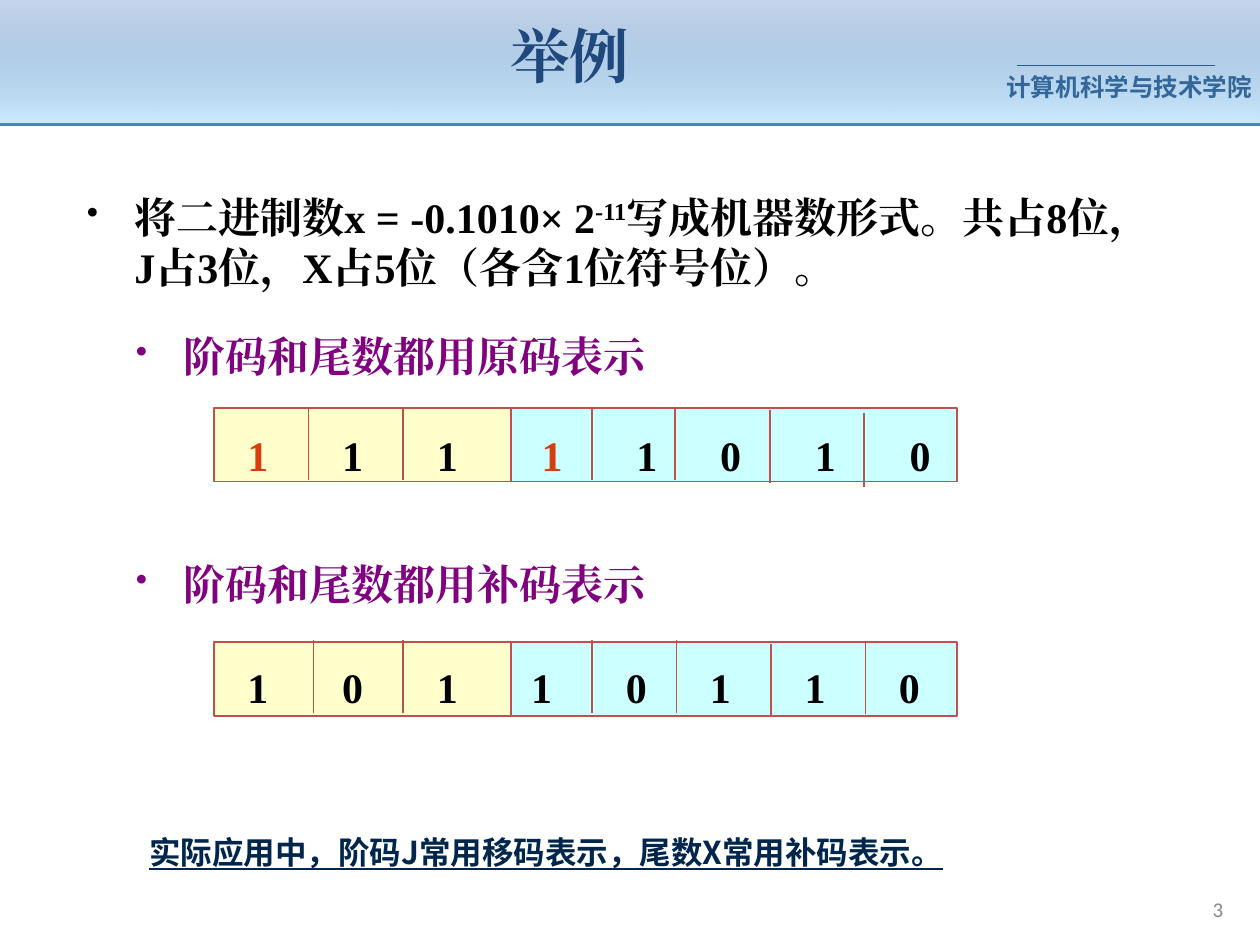
from dataclasses import dataclass

from lxml import etree
from pptx import Presentation
from pptx.dml.color import RGBColor
from pptx.enum import shapes, text
from pptx.oxml import ns
from pptx.util import Cm, Pt

NAVY = RGBColor(0x1F, 0x49, 0x7D)
STEEL = RGBColor(0x33, 0x66, 0x99)
RULE_BLUE = RGBColor(0x00, 0x66, 0xCC)
HEADER_BLUE = RGBColor(0x4F, 0x81, 0xBD)
HEADER_PALE = RGBColor(0xCC, 0xEC, 0xFF)
GREY = RGBColor(0x89, 0x89, 0x89)
BLACK = RGBColor(0, 0, 0)
PURPLE = RGBColor(0x80, 0x00, 0x80)
SIGN_RED = RGBColor(0xD7, 0x3D, 0x0D)
CELL_RED = RGBColor(0xC0, 0x50, 0x4D)
EXPONENT_FILL = RGBColor(0xFF, 0xFF, 0xCC)
MANTISSA_FILL = RGBColor(0xCC, 0xFF, 0xFF)
NOTE_BLUE = RGBColor(0x00, 0x26, 0x4C)
SERIF = "Times New Roman"
INSET_X, INSET_Y = 0.25, 0.13


@dataclass
class Run:
    text: str
    color: RGBColor | None = None
    superscript: bool = False


@dataclass
class Divider:
    x: float
    top: float
    height: float = 1.48


@dataclass
class Register:
    """Eight machine-number bits: three of exponent, five of mantissa."""
    top: float
    digits_top: float
    bits: str
    centers: list[float]
    dividers: list[Divider]
    sign_bits: tuple[int, ...] = ()


REGISTERS = [
    Register(8.23, 8.52, "11111010",
             [5.2, 7.11, 9.02, 11.13, 13.04, 14.73, 16.64, 18.55],
             [Divider(6.22, 8.2), Divider(8.13, 8.2), Divider(11.94, 8.2),
              Divider(13.61, 8.2), Divider(15.52, 8.26), Divider(17.42, 8.33)],
             sign_bits=(0, 3)),
    Register(12.95, 13.21, "10110110",
             [5.2, 7.11, 9.02, 10.92, 12.83, 14.52, 16.43, 18.33],
             [Divider(6.32, 12.9), Divider(8.13, 12.9), Divider(11.94, 12.9),
              Divider(13.64, 12.9), Divider(15.54, 12.98), Divider(17.45, 12.92)]),
]


def write(shape, runs: list[Run], *, size: float, color: RGBColor, font=SERIF,
          bold=True, underline=False, align=text.PP_ALIGN.LEFT,
          anchor=text.MSO_ANCHOR.TOP, spacing=None, bullet=False,
          inset_x=INSET_X, tabs=()) -> None:
    frame = shape.text_frame
    frame.word_wrap = True
    frame.auto_size = text.MSO_AUTO_SIZE.NONE
    frame.vertical_anchor = anchor
    frame.margin_left = frame.margin_right = Cm(inset_x)
    frame.margin_top = frame.margin_bottom = Cm(INSET_Y)
    paragraph = frame.paragraphs[0]
    paragraph.alignment = align
    if spacing:
        paragraph.line_spacing = spacing
    properties = paragraph._p.get_or_add_pPr()
    if bullet:
        properties.set("marL", str(Cm(0.96)))
        properties.set("indent", str(-Cm(0.96)))
        bullet_color = etree.SubElement(properties, ns.qn("a:buClr"))
        etree.SubElement(bullet_color, ns.qn("a:srgbClr"), val=str(color))
        etree.SubElement(properties, ns.qn("a:buSzPct"), val="80000")
        etree.SubElement(properties, ns.qn("a:buChar"), char="•")
    if tabs:
        stops = etree.SubElement(properties, ns.qn("a:tabLst"))
        for position in tabs:
            etree.SubElement(stops, ns.qn("a:tab"), pos=str(Cm(position)), algn="ctr")
    for part in runs:
        run = paragraph.add_run()
        run.text = part.text
        run.font.size = Pt(size)
        run.font.bold = bold
        run.font.underline = underline
        run.font.color.rgb = part.color or color
        run.font.name = font
        run_properties = run._r.get_or_add_rPr()
        etree.SubElement(run_properties, ns.qn("a:ea"), typeface=font)
        if part.superscript:
            run_properties.set("baseline", "30000")


def add_text(slide, x: float, y: float, width: float, height: float,
             runs: list[Run], **style) -> None:
    box = slide.shapes.add_textbox(Cm(x), Cm(y), Cm(width), Cm(height))
    write(box, runs, **style)


def add_line(slide, x1: float, y1: float, x2: float, y2: float,
             color: RGBColor, width: float) -> None:
    line = slide.shapes.add_connector(shapes.MSO_CONNECTOR.STRAIGHT,
                                      Cm(x1), Cm(y1), Cm(x2), Cm(y2))
    line.line.color.rgb = color
    line.line.width = Pt(width)
    etree.SubElement(line._element.spPr, ns.qn("a:effectLst"))


def add_box(slide, x: float, y: float, width: float, height: float):
    box = slide.shapes.add_shape(shapes.MSO_SHAPE.RECTANGLE,
                                 Cm(x), Cm(y), Cm(width), Cm(height))
    box.shadow.inherit = False
    return box


def add_header(slide) -> None:
    band = add_box(slide, 0, 0, 25.4, 2.51)
    band.line.fill.background()
    band.fill.gradient()
    band.fill.gradient_angle = 270
    for stop, color in zip(band.fill.gradient_stops, (HEADER_BLUE, HEADER_PALE)):
        stop.color.rgb = color
    first_color = band._element.spPr.find(".//" + ns.qn("a:srgbClr"))
    etree.SubElement(first_color, ns.qn("a:alpha"), val="32000")
    add_text(slide, 20.29, 1.32, 5.0, 0.86, [Run("计算机科学与技术学院")],
             size=14, color=STEEL, font="Arial", inset_x=0)
    add_line(slide, 20.5, 1.32, 24.5, 1.32, RULE_BLUE, 0.75)
    add_line(slide, 0, 2.51, 25.4, 2.51, HEADER_BLUE, 1.5)


def add_register(slide, register: Register) -> None:
    left, split, right = 4.32, 10.3, 19.3
    for start, end, fill in ((split, right, MANTISSA_FILL), (left, split, EXPONENT_FILL)):
        field = add_box(slide, start, register.top, end - start, 1.48)
        field.fill.solid()
        field.fill.fore_color.rgb = fill
        field.line.color.rgb = CELL_RED
        field.line.width = Pt(1)
    for mark in register.dividers:
        add_line(slide, mark.x, mark.top, mark.x, mark.top + mark.height, CELL_RED, 1)
    box_left = 3.89
    digits = [Run("\t" + bit, SIGN_RED if place in register.sign_bits else None)
              for place, bit in enumerate(register.bits)]
    add_text(slide, box_left, register.digits_top, 15.42, 1.48, digits, size=24, color=BLACK,
             tabs=[center - box_left - INSET_X for center in register.centers])


def main() -> None:
    deck = Presentation()
    deck.slide_width, deck.slide_height = Cm(25.4), Cm(19.05)
    slide = deck.slides.add_slide(deck.slide_layouts[5])
    add_header(slide)

    title = slide.shapes.title
    title.left, title.top, title.width, title.height = Cm(0.69), Cm(0.33), Cm(21.6), Cm(1.8)
    write(title, [Run("举例")], size=34, color=NAVY, spacing=0.8,
          align=text.PP_ALIGN.CENTER, anchor=text.MSO_ANCHOR.MIDDLE)
    slide.shapes._spTree.append(title._element)  # in front of the header band

    add_text(slide, 1.5, 3.73, 21.6, 3.18,
             [Run("将二进制数x = -0.1010× 2"), Run("-11", superscript=True),
              Run("写成机器数形式。共占8位，J占3位，X占5位（各含1位符号位）。")],
             size=24, color=BLACK, bullet=True)
    for heading, top in (("阶码和尾数都用原码表示", 6.53), ("阶码和尾数都用补码表示", 11.13)):
        add_text(slide, 2.49, top, 21.6, 1.47, [Run(heading)],
                 size=24, color=PURPLE, bullet=True)
    for register in REGISTERS:
        add_register(slide, register)

    add_text(slide, 1.5, 16.74, 19.02, 0.94,
             [Run("实际应用中，阶码J常用移码表示，尾数X常用补码表示。")],
             size=18, color=NOTE_BLUE, font="Noto Sans CJK SC", underline=True,
             spacing=0.9, align=text.PP_ALIGN.CENTER)
    add_text(slide, 19.3, 17.93, 5.61, 0.81, [Run("3")], size=12, color=GREY,
             font="Calibri", bold=False, align=text.PP_ALIGN.RIGHT,
             anchor=text.MSO_ANCHOR.MIDDLE)
    deck.save("out.pptx")


if __name__ == "__main__":
    main()
